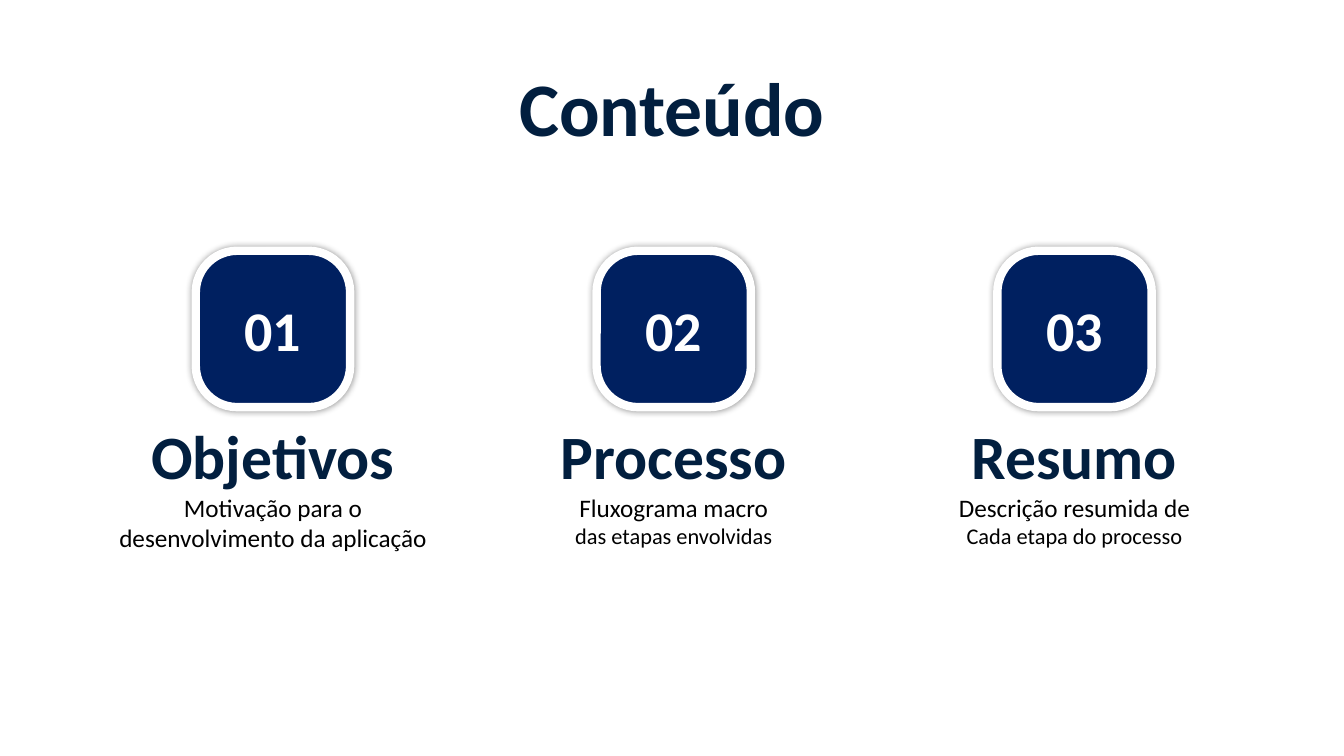
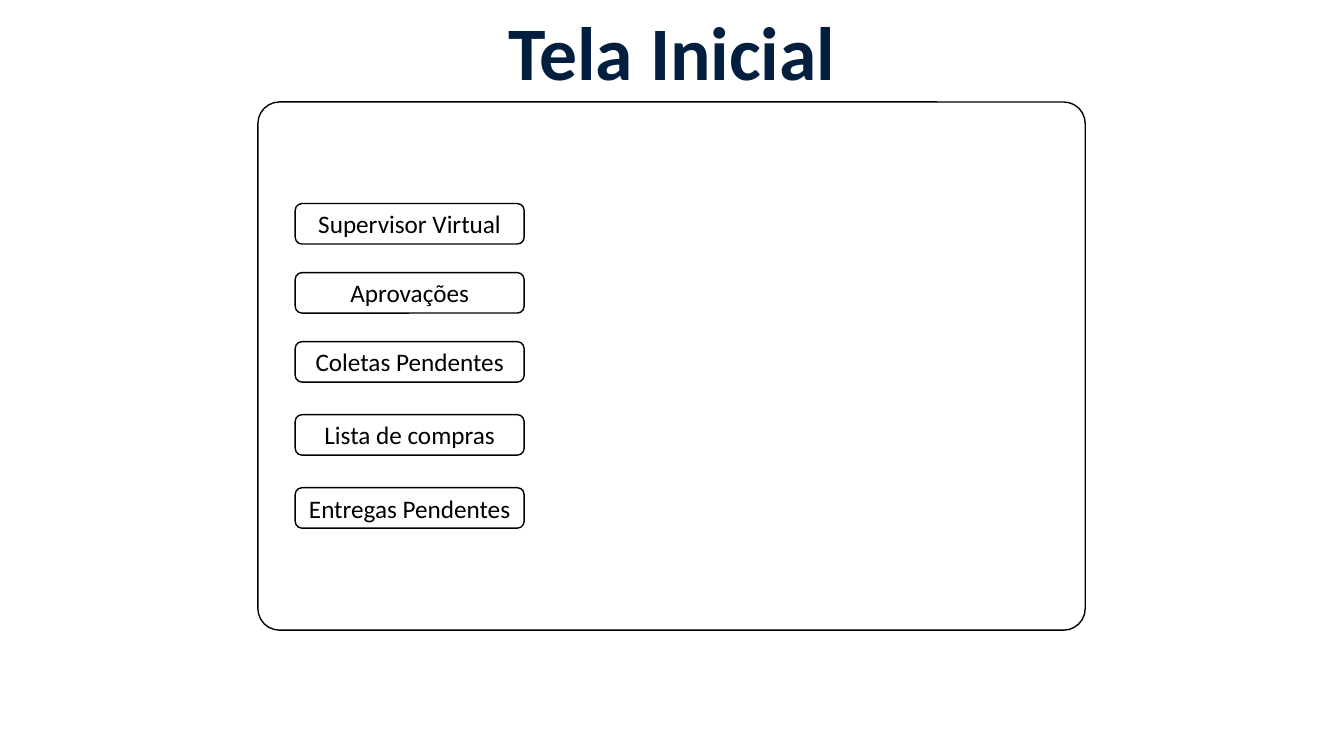
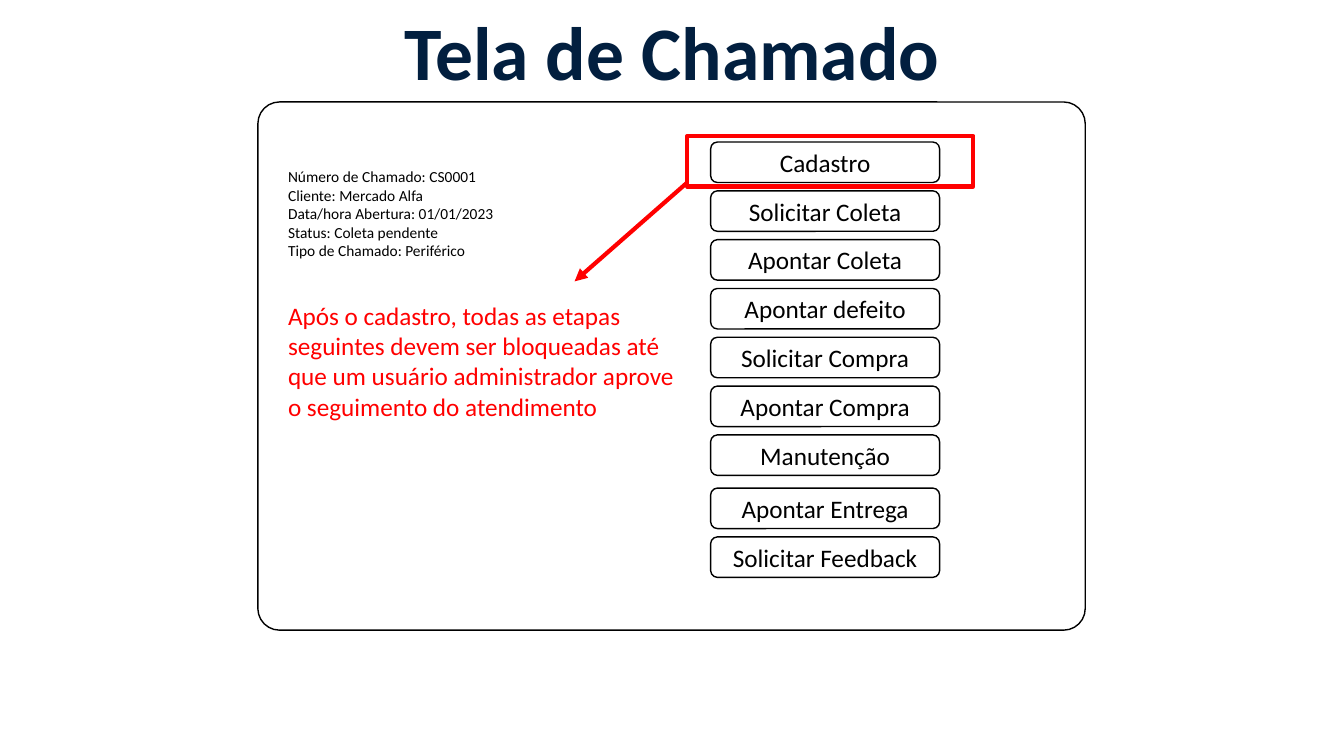
from lxml.etree import SubElement
from pptx import Presentation
from pptx.dml.color import RGBColor
from pptx.enum.shapes import MSO_CONNECTOR, MSO_SHAPE
from pptx.enum.text import MSO_ANCHOR, MSO_AUTO_SIZE, PP_ALIGN
from pptx.oxml.ns import qn
from pptx.util import Cm, Pt

# Content
AGENDA = [
    ("01", "Objetivos", [("Motivação para o", 18), ("desenvolvimento da aplicação", 18)]),
    ("02", "Processo", [("Fluxograma macro", 18), ("das etapas envolvidas", 16)]),
    ("03", "Resumo", [("Descrição resumida de", 18), ("Cada etapa do processo", 16)]),
]
# Button stacks: top and step in cm, labels
HOME_STACKS = [
    (5.13, 1.74, ["Supervisor Virtual", "Aprovações", "Coletas Pendentes"]),
    (10.45, 1.84, ["Lista de compras", "Entregas Pendentes"]),
]
TICKET_STACKS = [
    (3.58, 1.23, ["Cadastro", "Solicitar Coleta", "Apontar Coleta", "Apontar defeito",
                  "Solicitar Compra", "Apontar Compra", "Manutenção"]),
    (12.3, 1.23, ["Apontar Entrega", "Solicitar Feedback"]),
]
TICKET = ["Número de Chamado: CS0001", "Cliente: Mercado Alfa",
          "Data/hora Abertura: 01/01/2023", "Status: Coleta pendente",
          "Tipo de Chamado: Periférico"]
NOTE = ("Após o cadastro, todas as etapas seguintes devem ser bloqueadas até "
        "que um usuário administrador aprove o seguimento do atendimento")

# Shared style
COLORS = {"title": "021F3F", "badge": "002060", "white": "FFFFFF",
          "black": "000000", "alert": "FF0000"}
FONT = "Calibri"
TITLE = {"size": 54, "color": "title", "bold": True}
HEADING = {"size": 44, "color": "title", "bold": True}
NUMBER = {"size": 40, "color": "white", "bold": True}
BODY = {"size": 18, "color": "black", "bold": False}
DETAIL = {**BODY, "size": 11}
ALERT = {**BODY, "color": "alert"}


def rgb(name):
    return RGBColor.from_string(COLORS[name])


def write(tf, lines, align=PP_ALIGN.LEFT):
    """Fill a text frame with (text, style) lines."""
    for i, (text, style) in enumerate(lines):
        p = tf.paragraphs[0] if i == 0 else tf.add_paragraph()
        p.alignment = align
        r = p.add_run()
        r.text = text
        values = {"name": FONT, "size": Pt(style["size"]), "bold": style["bold"]}
        for key, value in values.items():
            setattr(r.font, key, value)
        r.font.color.rgb = rgb(style["color"])


def add_slide(prs, title, top=0):
    s = prs.slides.add_slide(prs.slide_layouts[5])
    sp = s.shapes.title
    box = {"left": 9.86, "top": top, "width": 14.15, "height": 2.57}
    for key, value in box.items():
        setattr(sp, key, Cm(value))
    tf = sp.text_frame
    frame = {"auto_size": MSO_AUTO_SIZE.NONE, "word_wrap": False,
             "vertical_anchor": MSO_ANCHOR.TOP}
    for key, value in frame.items():
        setattr(tf, key, value)
    write(tf, [(title, TITLE)], PP_ALIGN.CENTER)
    return s


def add_box(shapes, kind, at, fill, line, weight, adj=None):
    sp = shapes.add_shape(kind, *map(Cm, at))
    sp.shadow.inherit = False
    if fill:
        sp.fill.solid()
        sp.fill.fore_color.rgb = rgb(fill)
    else:
        sp.fill.background()
    sp.line.color.rgb = rgb(line)
    sp.line.width = Pt(weight)
    if adj is not None:
        sp.adjustments[0] = adj
    return sp


def add_label(shapes, at, lines, align=PP_ALIGN.LEFT):
    tf = shapes.add_textbox(*map(Cm, at)).text_frame
    tf.word_wrap = True
    write(tf, lines, align)


def add_glow(sp):
    effects = sp._element.spPr.find(qn("a:effectLst"))
    shadow = SubElement(effects, qn("a:outerShdw"), blurRad=str(Pt(5)), algn="ctr",
                        rotWithShape="0")
    color = SubElement(shadow, qn("a:srgbClr"), val=COLORS["black"])
    SubElement(color, qn("a:alpha"), val="40000")


def add_arrow(s, start, end):
    cx = s.shapes.add_connector(MSO_CONNECTOR.STRAIGHT, *map(Cm, start + end))
    cx.line.color.rgb = rgb("alert")
    cx.line.width = Pt(3)
    SubElement(cx.line._get_or_add_ln(), qn("a:tailEnd"), type="triangle")
    SubElement(cx._element.spPr, qn("a:effectLst"))


def add_screen(s, left, stacks):
    """Draw the app window and its stacks of buttons."""
    add_box(s.shapes, MSO_SHAPE.ROUNDED_RECTANGLE, (6.5, 2.57, 20.85, 13.31),
            "white", "black", 1, 0.041)
    for top, step, labels in stacks:
        for i, label in enumerate(labels):
            sp = add_box(s.shapes, MSO_SHAPE.ROUNDED_RECTANGLE,
                         (left, top + i * step, 5.77, 1.02), "white", "black", 1)
            write(sp.text_frame, [(label, BODY)], PP_ALIGN.CENTER)


def build_agenda(prs):
    s = add_slide(prs, "Conteúdo", 1.42)
    badge_w, text_w = 3.89, 8.36
    for i, (number, heading, details) in enumerate(AGENDA):
        center = 6.88 + i * 10.1
        shapes = s.shapes.add_group_shape().shapes
        sp = add_box(shapes, MSO_SHAPE.ROUNDED_RECTANGLE,
                     (center - badge_w / 2, 6.32, badge_w, 3.94),
                     "badge", "white", 6, 0.268)
        add_glow(sp)
        write(sp.text_frame, [(number, NUMBER)], PP_ALIGN.CENTER)
        lines = [(heading, HEADING)]
        lines += [(text, {**BODY, "size": size}) for text, size in details]
        add_label(shapes, (center - text_w / 2, 10.41, text_w, 3.68), lines,
                  PP_ALIGN.CENTER)


def build_home(prs):
    s = add_slide(prs, "Tela Inicial")
    add_screen(s, 7.44, HOME_STACKS)


def build_ticket(prs):
    s = add_slide(prs, "Tela de Chamado")
    add_screen(s, 17.91, TICKET_STACKS)
    add_label(s.shapes, (7.01, 4.09, 7.8, 2.62), [(line, DETAIL) for line in TICKET])
    # Highlight of the first step and its note
    add_box(s.shapes, MSO_SHAPE.RECTANGLE, (17.32, 3.43, 7.21, 1.27), None, "alert", 3)
    add_arrow(s, (17.32, 4.6), (14.48, 7.09))
    add_label(s.shapes, (7.01, 7.44, 10.67, 3.33), [(NOTE, ALERT)])


def main():
    prs = Presentation()
    prs.slide_width, prs.slide_height = Cm(33.87), Cm(19.05)
    for build in (build_agenda, build_home, build_ticket):
        build(prs)
    prs.save("out.pptx")


if __name__ == "__main__":
    main()
